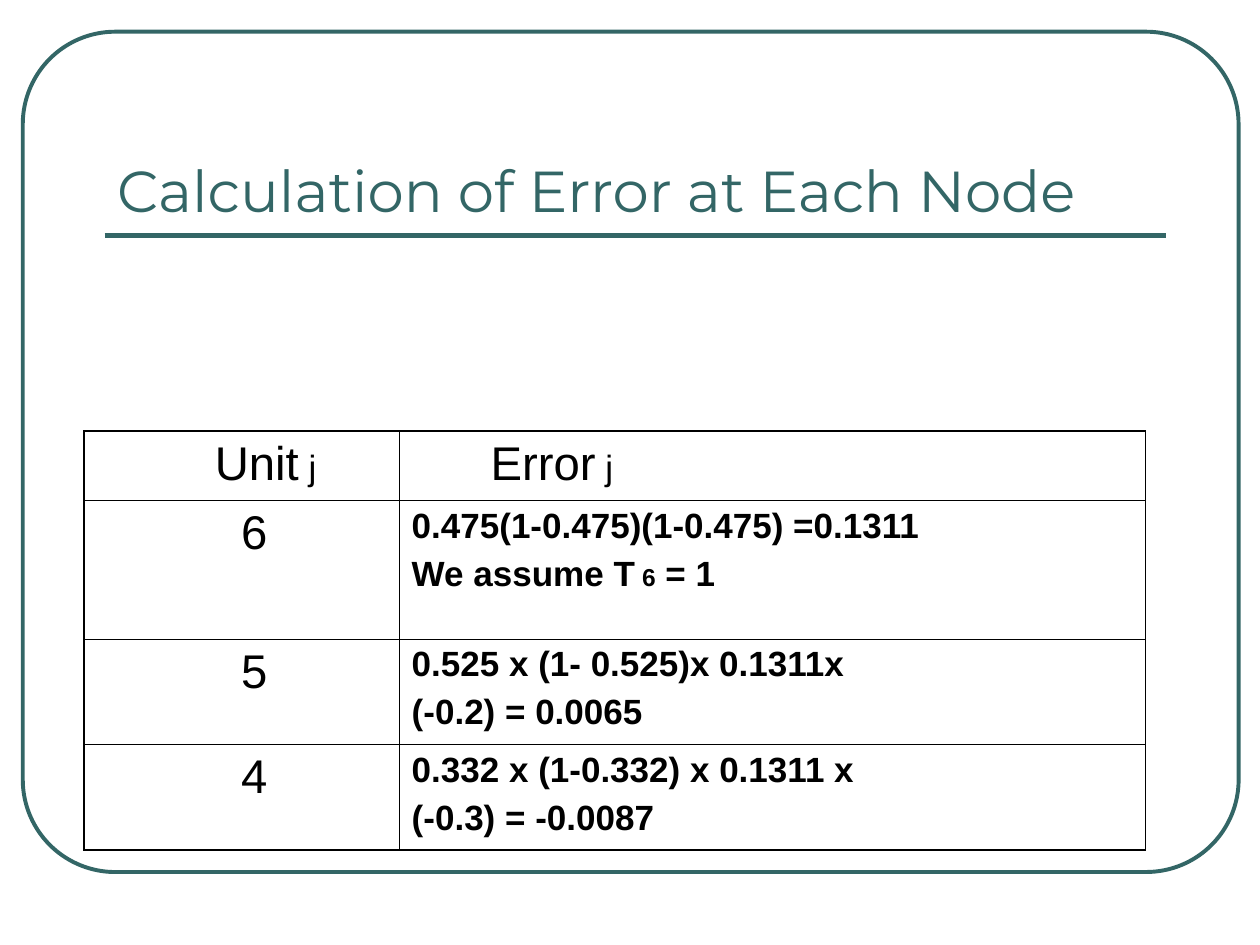
"""Build a slide with a table of the error at each network node."""
from lxml import etree
from pptx import Presentation
from pptx import util as u
from pptx.dml.color import RGBColor
from pptx.enum import shapes, text
from pptx.oxml import ns

TEAL, BLACK = "336666", "000000"
THICK, THIN = 1.08, 0.45


def color(value):
    return RGBColor.from_string(value)


def add_border(cell, side, width):
    properties = cell._tc.get_or_add_tcPr()
    line = etree.SubElement(properties, ns.qn(f"a:ln{side}"), w=str(u.Pt(width)))
    fill = etree.SubElement(line, ns.qn("a:solidFill"))
    etree.SubElement(fill, ns.qn("a:srgbClr"), val=BLACK)


presentation = Presentation()
presentation.slide_width = u.Cm(25.4)
presentation.slide_height = u.Cm(19.05)
slide = presentation.slides.add_slide(presentation.slide_layouts[6])

frame = slide.shapes.add_shape(
    shapes.MSO_SHAPE.ROUNDED_RECTANGLE, u.Cm(0.46), u.Cm(0.64), u.Cm(24.51), u.Cm(16.94))
frame.adjustments[0] = 0.11
frame.shadow.inherit = False
frame.fill.background()
frame.line.color.rgb = color(TEAL)
frame.line.width = u.Pt(2.25)

underline = slide.shapes.add_connector(
    shapes.MSO_CONNECTOR.STRAIGHT, u.Cm(2.11), u.Cm(4.75), u.Cm(23.5), u.Cm(4.75))
underline.line.color.rgb = color(TEAL)
underline.line.width = u.Pt(3)
etree.SubElement(underline._element.spPr, ns.qn("a:effectLst"))

title = slide.shapes.add_textbox(u.Cm(2.11), u.Cm(1.47), u.Cm(21.39), u.Cm(3.18))
title.text_frame.word_wrap = True
title.text_frame.vertical_anchor = text.MSO_ANCHOR.BOTTOM
paragraph = title.text_frame.paragraphs[0]
paragraph.text = "Calculation of Error at Each Node"
paragraph.font.name = "Montserrat"
paragraph.font.size = u.Pt(33)
paragraph.font.color.rgb = color(TEAL)

# Each cell: left margin in cm, bold, paragraphs of (text, size) runs
rows = [
    (1.4, [(2.63, False, [[("Unit", 27), (" j", 20)]]),
           (1.84, False, [[("Error", 27), (" j", 20)]])]),
    (2.79, [(3.16, False, [[("6", 27)]]),
            (0.25, True, [[("0.475(1-0.475)(1-0.475) =0.1311", 20)],
                          [("We assume T", 20), (" 6", 14), (" = 1", 20)]])]),
    (2.13, [(3.16, False, [[("5", 27)]]),
            (0.25, True, [[("0.525 x (1- 0.525)x 0.1311x", 20)],
                          [("(-0.2) = 0.0065", 20)]])]),
    (2.13, [(3.16, False, [[("4", 27)]]),
            (0.25, True, [[("0.332 x (1-0.332) x 0.1311 x", 20)],
                          [("(-0.3) = -0.0087", 20)]])]),
]
table = slide.shapes.add_table(
    len(rows), 2, u.Cm(1.7), u.Cm(8.69), u.Cm(21.39), u.Cm(8.45)).table
table.first_row = table.horz_banding = False
for column, width in zip(table.columns, (6.35, 15.04)):
    column.width = u.Cm(width)

for row_index, (height, cells) in enumerate(rows):
    table.rows[row_index].height = u.Cm(height)
    for column_index, (margin, bold, paragraphs) in enumerate(cells):
        cell = table.cell(row_index, column_index)
        cell.margin_left = u.Cm(margin)
        outer_sides = {"L": column_index == 0, "R": column_index == 1,
                       "T": row_index == 0, "B": row_index == len(rows) - 1}
        for side, outer in outer_sides.items():
            add_border(cell, side, THICK if outer else THIN)
        cell.fill.background()
        for index, runs in enumerate(paragraphs):
            paragraph = cell.text_frame.paragraphs[0]
            if index:
                paragraph = cell.text_frame.add_paragraph()
                paragraph.space_before = u.Pt(5)
            paragraph.font.name = "Arial"
            paragraph.font.bold = bold
            paragraph.font.color.rgb = color(BLACK)
            for words, size in runs:
                run = paragraph.add_run()
                run.text = words
                run.font.size = u.Pt(size)

presentation.save("out.pptx")
